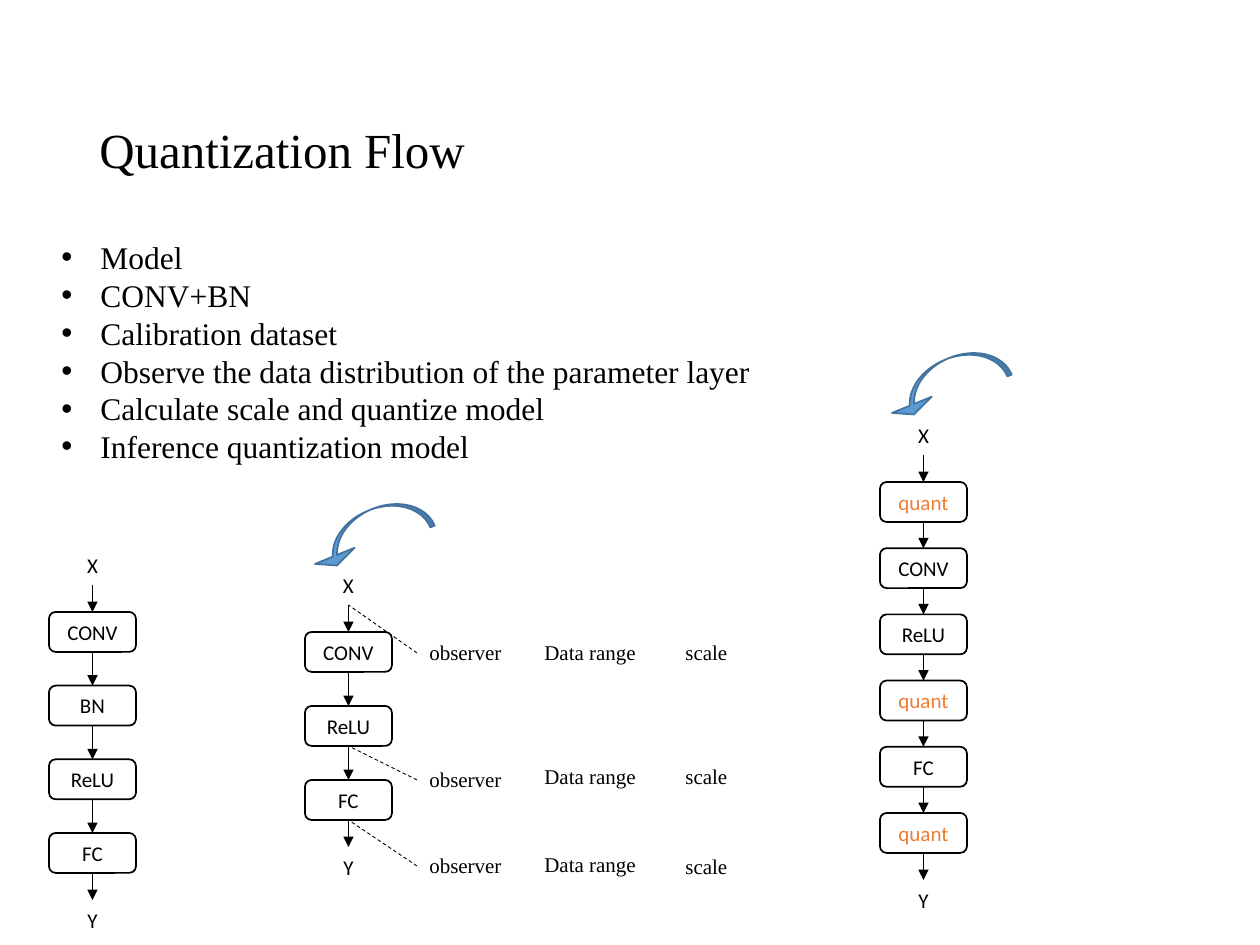
from dataclasses import dataclass

from lxml.etree import SubElement
from pptx import Presentation
from pptx.dml.color import RGBColor
from pptx.enum.dml import MSO_LINE
from pptx.enum.shapes import MSO_CONNECTOR, MSO_SHAPE
from pptx.enum.text import MSO_ANCHOR, PP_ALIGN
from pptx.oxml.ns import qn
from pptx.util import Emu, Pt


@dataclass(frozen=True)
class Theme:
    ink: RGBColor = RGBColor(0, 0, 0)
    accent: RGBColor = RGBColor(0xED, 0x7D, 0x31)
    arrow_fill: RGBColor = RGBColor(0x5B, 0x9B, 0xD5)
    arrow_line: RGBColor = RGBColor(0x43, 0x73, 0x9E)
    serif: str = "Times New Roman"
    sans: str = "Calibri"
    title: int = 28
    body: int = 18
    label: int = 12


THEME = Theme()
NODE_WIDTH, NODE_HEIGHT, END_STEP = 87, 40, 67


def px(length):
    return Emu(round(length * 914400 / 126))


def frame(box):
    return [px(length) for length in box]


def write(text_frame, text, size=THEME.label, font=THEME.serif, color=THEME.ink,
          align=PP_ALIGN.LEFT, anchor=MSO_ANCHOR.TOP, wrap=True, bullet=False,
          line_spacing=None):
    text_frame.word_wrap = wrap
    text_frame.vertical_anchor = anchor
    for index, line in enumerate(text.split("\n")):
        para = text_frame.paragraphs[0] if index == 0 else text_frame.add_paragraph()
        if bullet:
            properties = para._p.get_or_add_pPr()
            properties.set("marL", str(px(39)))
            properties.set("indent", str(-px(39)))
            SubElement(properties, qn("a:buFont"), typeface="Arial")
            SubElement(properties, qn("a:buChar"), char="•")
        para.alignment = align
        if line_spacing:
            para.line_spacing = line_spacing
        span = para.add_run()
        span.text = line
        span.font.size = Pt(size)
        span.font.name = font
        span.font.color.rgb = color


def add_text(page, box, text, **style):
    write(page.shapes.add_textbox(*frame(box)).text_frame, text, **style)


def add_line(page, start=(0, 0), arrow=False):
    line = page.shapes.add_connector(
        MSO_CONNECTOR.STRAIGHT, px(start[0]), px(start[1]), px(start[0]), px(start[1]))
    line.line.color.rgb = THEME.ink
    line.line.width = Pt(0.5)
    if arrow:
        SubElement(line.line._get_or_add_ln(), qn("a:tailEnd"), type="triangle")
    else:
        line.line.dash_style = MSO_LINE.DASH
    SubElement(line._element.spPr, qn("a:effectLst"))
    return line


def add_node(page, box, text, outlined):
    node = page.shapes.add_shape(MSO_SHAPE.ROUNDED_RECTANGLE, *frame(box))
    node.shadow.inherit = False
    node.fill.background()
    if outlined:
        node.line.color.rgb = THEME.ink
        node.line.width = Pt(1)
    else:
        node.line.fill.background()
    write(node.text_frame, text, font=THEME.sans, align=PP_ALIGN.CENTER,
          anchor=MSO_ANCHOR.MIDDLE,
          color=THEME.accent if text == "quant" else THEME.ink)
    return node


def add_flow(page, left, top, height, layers):
    last = top + height - NODE_HEIGHT
    step = (last - top - 2 * END_STEP) / (len(layers) - 1)
    tops = [top, *(top + END_STEP + step * i for i in range(len(layers))), last]
    nodes = [
        add_node(page, (left, y, NODE_WIDTH, NODE_HEIGHT), text, text in layers)
        for text, y in zip(["X", *layers, "Y"], tops)
    ]
    for upper, lower in zip(nodes, nodes[1:]):
        arrow = add_line(page, arrow=True)
        arrow.begin_connect(upper, 2)
        arrow.end_connect(lower, 0)
    return nodes


def add_turn(page, left, top):
    turn = page.shapes.add_shape(MSO_SHAPE.CURVED_UP_ARROW, *frame((left, top, 127, 39)))
    turn.shadow.inherit = False
    turn.rotation = 157.8
    for index, value in enumerate((0.122, 1.101, 0.25)):
        turn.adjustments[index] = value
    turn.fill.solid()
    turn.fill.fore_color.rgb = THEME.arrow_fill
    turn.line.color.rgb = THEME.arrow_line
    turn.line.width = Pt(1)


def add_observation(page, left, tops, node):
    columns = (("observer", 0, 98), ("Data range", 115, 118), ("scale", 256, 68))
    for (text, offset, width), top in zip(columns, tops):
        add_text(page, (left + offset, top, width, 38), text, wrap=False)
    add_line(page, start=(left, tops[0] + 20)).end_connect(node, 2)


def add_heading(page, box):
    add_text(page, box, "Quantization Flow", size=THEME.title,
             anchor=MSO_ANCHOR.MIDDLE, line_spacing=0.9)


def add_steps(page, box):
    steps = (
        "Model",
        "CONV+BN",
        "Calibration dataset",
        "Observe the data distribution of the parameter layer",
        "Calculate scale and quantize model",
        "Inference quantization model",
    )
    add_text(page, box, "\n".join(steps), size=THEME.body, bullet=True)


def main():
    deck = Presentation()
    deck.slide_width, deck.slide_height = px(1260), px(945)
    page = deck.slides.add_slide(deck.slide_layouts[6])
    add_heading(page, (87, 110, 1086, 86))
    add_steps(page, (49, 232, 966, 242))
    add_flow(page, 49, 545, 395, ["CONV", "BN", "ReLU", "FC"])
    source, _, relu, dense, _ = add_flow(page, 305, 565, 322, ["CONV", "ReLU", "FC"])
    add_flow(page, 880, 415, 505, ["quant", "CONV", "ReLU", "quant", "FC", "quant"])
    add_turn(page, 305, 512)
    add_turn(page, 882, 361)
    for node, tops in ((source, (633, 633, 633)), (relu, (760, 757, 757)),
                       (dense, (846, 845, 847))):
        add_observation(page, 417, tops, node)
    deck.save("out.pptx")


if __name__ == "__main__":
    main()
